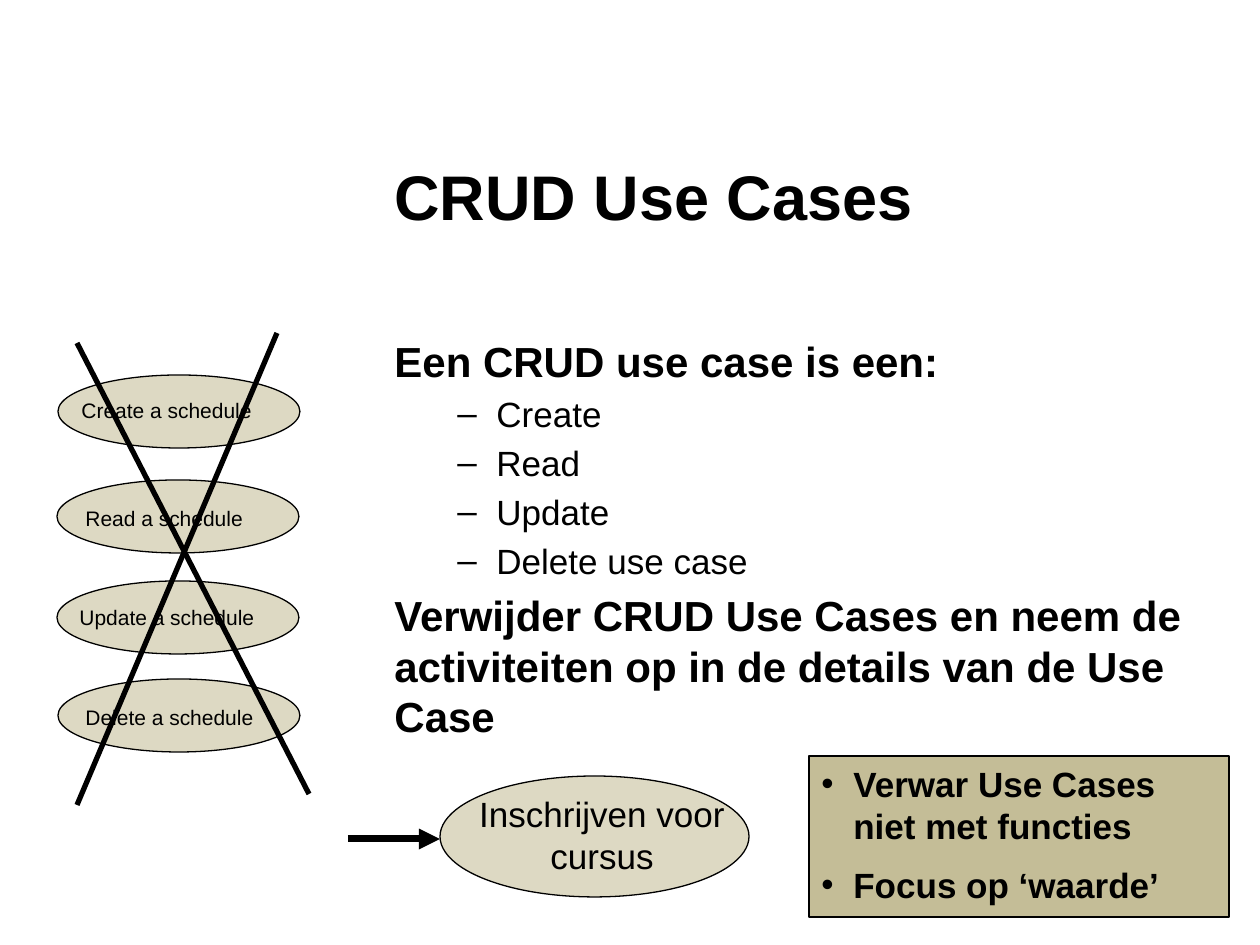
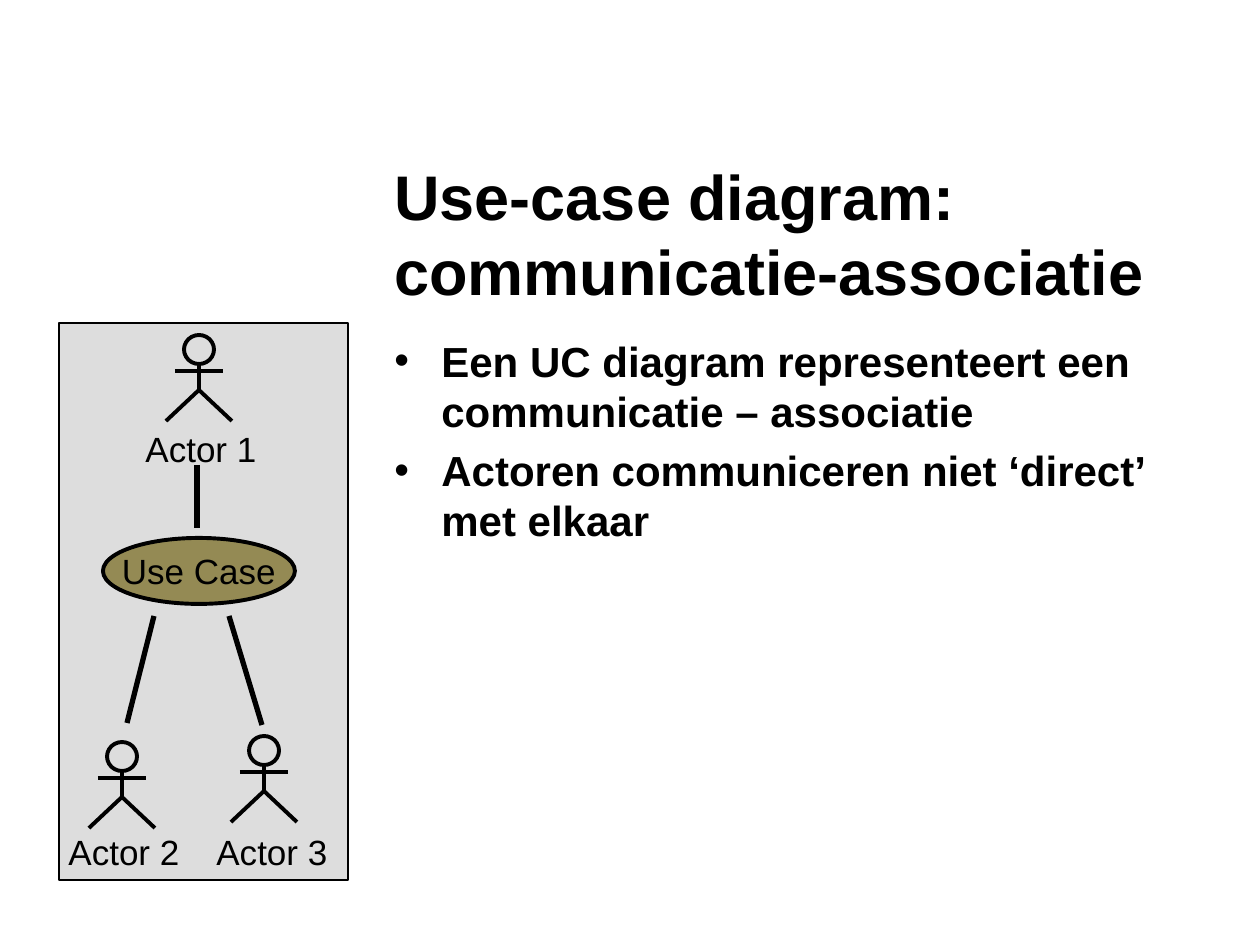
from dataclasses import dataclass

from lxml import etree
from pptx import Presentation
from pptx import util as u
from pptx.dml.color import RGBColor
from pptx.enum import shapes, text
from pptx.oxml.ns import qn

SCALE = 914400 / 126


@dataclass(frozen=True)
class Theme:
    font: str = "Arial"
    ink: str = "000000"
    sand: str = "DDD9C3"
    khaki: str = "C4BD97"
    olive: str = "948A54"
    panel: str = "DDDDDD"
    title: int = 36
    body: int = 24
    detail: int = 20
    small: int = 12
    thin: float = 0.75
    figure: float = 2.25
    link: int = 3
    arrow: int = 4


THEME = Theme()


@dataclass(frozen=True)
class Para:
    words: str
    size: int
    bold: bool = False
    bullet: str = ""
    indent: int = 0
    hang: int = 0
    level: int = 0
    gap: float = 0
    align: object = text.PP_ALIGN.LEFT


def px(length):
    return u.Emu(round(length * SCALE))


def box_of(*lengths):
    return [px(length) for length in lengths]


def colour(value):
    return RGBColor.from_string(value)


def set_bullet(paragraph, para):
    props = paragraph._p.get_or_add_pPr()
    props.set("marL", str(px(para.indent)))
    props.set("indent", str(-px(para.hang)))
    etree.SubElement(props, qn("a:buFont")).set("typeface", THEME.font)
    etree.SubElement(props, qn("a:buChar")).set("char", para.bullet)


def write(frame, paras, anchor=text.MSO_ANCHOR.TOP, wrap=True):
    frame.word_wrap = wrap
    frame.vertical_anchor = anchor
    for index, para in enumerate(paras):
        paragraph = frame.add_paragraph() if index else frame.paragraphs[0]
        paragraph.text = para.words
        paragraph.alignment = para.align
        paragraph.level = para.level
        paragraph.space_before = u.Pt(round(para.size * para.gap, 1))
        if para.bullet:
            set_bullet(paragraph, para)
        for run in paragraph.runs:
            run.font.name = THEME.font
            run.font.size = u.Pt(para.size)
            run.font.bold = para.bold
            run.font.color.rgb = colour(THEME.ink)


def add_text(canvas, box, *paras):
    write(canvas.add_textbox(*box_of(*box)).text_frame, paras)


def add_label(canvas, box, words, size=THEME.detail, align=text.PP_ALIGN.CENTER):
    add_text(canvas, box, Para(words, size, align=align))


def stroke(item, weight):
    item.line.color.rgb = colour(THEME.ink)
    item.line.width = u.Pt(weight)


def paint(item, fill, weight):
    item.shadow.inherit = False
    if fill:
        item.fill.solid()
        item.fill.fore_color.rgb = colour(fill)
    else:
        item.fill.background()
    stroke(item, weight)


def add_block(canvas, preset, box, fill=None, weight=THEME.thin):
    block = canvas.add_shape(preset, *box_of(*box))
    paint(block, fill, weight)
    return block


def add_oval(canvas, box, fill=None, weight=THEME.thin):
    return add_block(canvas, shapes.MSO_SHAPE.OVAL, box, fill, weight)


def add_panel(canvas, box, fill):
    return add_block(canvas, shapes.MSO_SHAPE.RECTANGLE, box, fill)


def add_line(canvas, ends, weight, arrow=False):
    line = canvas.add_connector(shapes.MSO_CONNECTOR.STRAIGHT, *box_of(*ends))
    stroke(line, weight)
    if arrow:
        etree.SubElement(line.line._get_or_add_ln(), qn("a:tailEnd")).set("type", "triangle")
    etree.SubElement(line._element.spPr, qn("a:effectLst"))


def add_actor(canvas, x, top):
    add_oval(canvas, (x - 15, top, 30, 29), weight=THEME.figure)
    add_line(canvas, (x, top + 28, x, top + 56), THEME.figure)
    add_line(canvas, (x - 24, top + 36, x + 24, top + 36), THEME.figure)
    outline = canvas.build_freeform(x - 33, top + 86, scale=SCALE)
    outline.add_line_segments([(x, top + 55), (x + 33, top + 86)], close=False)
    paint(outline.convert_to_shape(), None, THEME.figure)


def heading(words):
    return Para(words, THEME.body, bold=True, gap=0.2)


def point(words):
    return Para(words, THEME.body, bold=True, bullet="•", indent=47, hang=47, gap=0.2)


def operation(words):
    return Para(words, THEME.detail, bullet="–", indent=102, hang=39, level=1, gap=0.2)


def advice(words):
    return Para(words, THEME.detail, bold=True, bullet="•", indent=32, hang=32, gap=0.5)


def add_page(deck, title, *body):
    canvas = deck.slides.add_slide(deck.slide_layouts[6]).shapes
    add_text(canvas, (382, 151, 840, 90), Para(title, THEME.title, bold=True))
    add_text(canvas, (382, 329, 840, 544), *body)
    return canvas


def crud_page(deck):
    operations = ("Create", "Read", "Update", "Delete use case")
    canvas = add_page(
        deck,
        "CRUD Use Cases",
        heading("Een CRUD use case is een:"),
        *map(operation, operations),
        heading("Verwijder CRUD Use Cases en neem de activiteiten op in de details van de Use Case"),
    )
    schedule_cases = (
        ("Create", 58, 375, 69, 391),
        ("Read", 57, 480, 73, 499),
        ("Update", 57, 581, 67, 598),
        ("Delete", 58, 679, 73, 698),
    )
    for verb, left, top, label_left, label_top in schedule_cases:
        add_oval(canvas, (left, top, 242, 73), THEME.sand)
        add_label(canvas, (label_left, label_top, 243, 38), f"{verb} a schedule",
                  THEME.small, text.PP_ALIGN.LEFT)

    add_oval(canvas, (440, 776, 309, 121), THEME.sand)
    add_label(canvas, (454, 786, 296, 97), "Inschrijven voor\ncursus")
    add_line(canvas, (348, 839, 440, 839), THEME.arrow, arrow=True)
    for cross_stroke in ((77, 343, 309, 794), (277, 333, 77, 805)):
        add_line(canvas, cross_stroke, THEME.link)

    reminder = add_panel(canvas, (809, 756, 420, 161), THEME.khaki)
    write(reminder.text_frame,
          [advice("Verwar Use Cases niet met functies"), advice("Focus op ‘waarde’")])


def association_page(deck):
    canvas = add_page(
        deck,
        "Use-case diagram: communicatie-associatie",
        point("Een UC diagram representeert een communicatie – associatie"),
        point("Actoren communiceren niet ‘direct’ \nmet elkaar"),
    )
    diagram = canvas.add_group_shape().shapes
    add_panel(diagram, (59, 323, 289, 557), THEME.panel)
    use_case = add_oval(diagram, (103, 538, 192, 66), THEME.olive, THEME.figure)
    write(use_case.text_frame,
          [Para("Use Case", THEME.detail, align=text.PP_ALIGN.CENTER)],
          text.MSO_ANCHOR.MIDDLE, wrap=False)

    actors = ((199, 335, 114, 421), (122, 742, 37, 824), (264, 736, 185, 824))
    for number, (x, top, label_left, label_top) in enumerate(actors, 1):
        add_actor(diagram, x, top)
        add_label(diagram, (label_left, label_top, 174, 47), f"Actor {number}")
    for association in ((197, 465, 197, 528), (154, 616, 127, 723), (262, 725, 229, 616)):
        add_line(diagram, association, THEME.link)


def main():
    deck = Presentation()
    deck.slide_width, deck.slide_height = px(1260), px(945)
    crud_page(deck)
    association_page(deck)
    deck.save("out.pptx")


if __name__ == "__main__":
    main()
